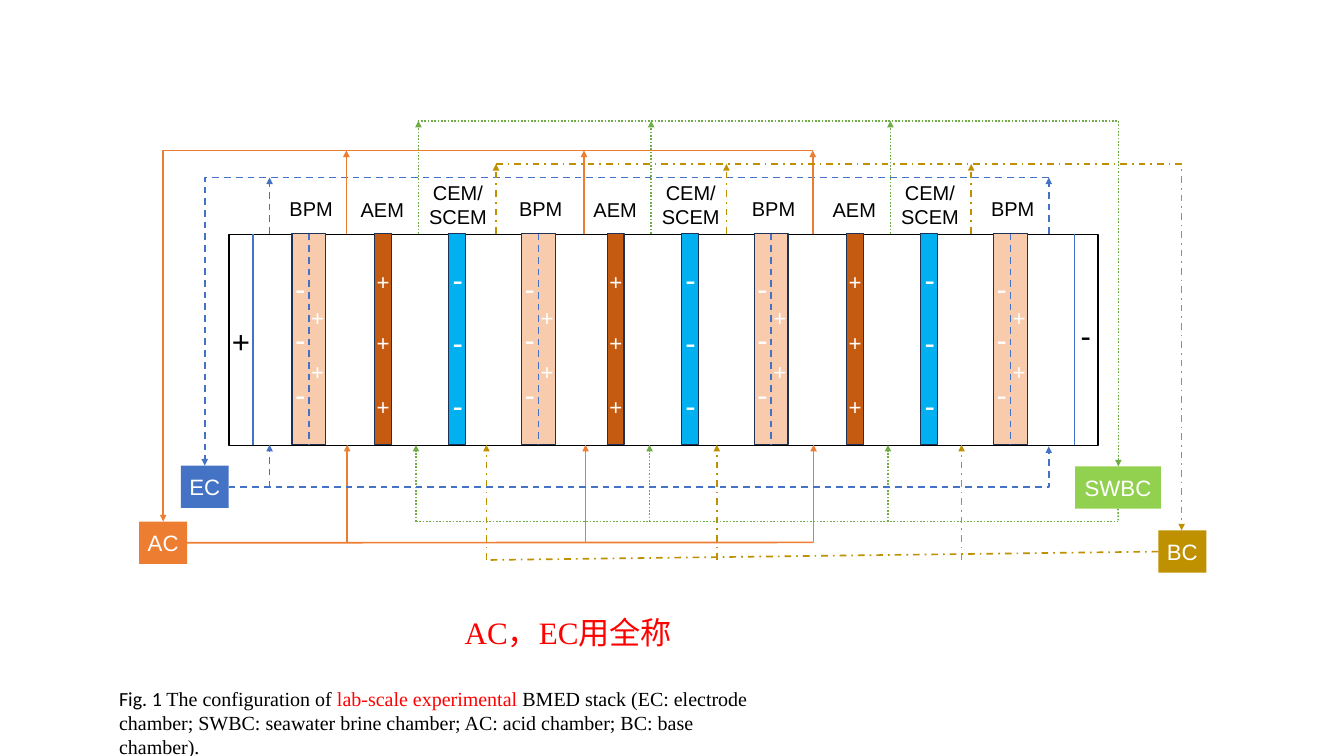
from lxml import etree
from pptx import Presentation
from pptx.dml.color import RGBColor
from pptx.enum.dml import MSO_LINE
from pptx.enum.shapes import MSO_CONNECTOR, MSO_SHAPE
from pptx.enum.text import MSO_ANCHOR, MSO_AUTO_SIZE, PP_ALIGN
from pptx.oxml.ns import qn
from pptx.util import Inches, Pt

RECTANGLE = MSO_SHAPE.RECTANGLE
STRAIGHT, ELBOW = MSO_CONNECTOR.STRAIGHT, MSO_CONNECTOR.ELBOW
DASH, DOT, DASH_DOT = MSO_LINE.DASH, MSO_LINE.ROUND_DOT, MSO_LINE.DASH_DOT
CENTER, MIDDLE = PP_ALIGN.CENTER, MSO_ANCHOR.MIDDLE
GROW = MSO_AUTO_SIZE.SHAPE_TO_FIT_TEXT
TOP, LEFT, BOTTOM, RIGHT = range(4)

COLORS = {
    "black": "000000", "white": "FFFFFF", "red": "FF0000", "outline": "1E3256",
    "blue": "4472C4", "orange": "ED7D31", "green": "70AD47", "lime": "92D050",
    "gold": "BF9000", "peach": "F8CBAD", "brown": "C55A11", "cyan": "00B0F0",
}
COLORS = {name: RGBColor.from_string(value) for name, value in COLORS.items()}

STACK_TOP, STACK_HEIGHT = 2.92, 2.64
STACK_BOTTOM = STACK_TOP + STACK_HEIGHT
AEM_LEFTS = [4.68, 7.59, 10.58]
MINUS, PLUS = ("-", 28, 0.57), ("+", 20, 0.44)

deck = Presentation()
deck.slide_width, deck.slide_height = Inches(16.8), Inches(9.45)
page = deck.slides.add_slide(deck.slide_layouts[6])


def draw_line(start, end, color, dash=None, arrow=False, kind=STRAIGHT):
    line = page.shapes.add_connector(kind, *map(Inches, (*start, *end)))
    line.line.color.rgb = COLORS[color]
    line.line.width = Pt(1.5)
    if dash:
        line.line.dash_style = dash
    properties = line._element.spPr
    if kind == ELBOW:
        properties.find(qn("a:prstGeom")).set("prst", "bentConnector2")
    if arrow:
        etree.SubElement(properties.find(qn("a:ln")), qn("a:tailEnd"), type="triangle")
    etree.SubElement(properties, qn("a:effectLst"))
    return line


def write(place, lines, size, color, align=None, font="Arial", shape=None):
    box = shape or page.shapes.add_textbox(*map(Inches, place))
    frame = box.text_frame
    frame.word_wrap = True
    if shape is None:
        frame.auto_size = GROW
    for index, line in enumerate(lines):
        para = frame.add_paragraph() if index else frame.paragraphs[0]
        para.alignment = align
        for text, changes in line if isinstance(line, list) else [(line, {})]:
            span = para.add_run()
            span.text = text
            look = {"name": font, "size": Pt(size), "color": color} | changes
            span.font.color.rgb = COLORS[look.pop("color")]
            for name, value in look.items():
                setattr(span.font, name, value)


stack = page.shapes.add_shape(RECTANGLE, *map(Inches, (2.86, 2.93, 10.87, STACK_HEIGHT)))
stack.shadow.inherit = False
stack.fill.background()
stack.line.color.rgb = COLORS["black"]
stack.line.width = Pt(1.5)

for electrode_x, sign, sign_left, sign_top in [(3.16, "+", 2.8, 3.98), (13.43, "-", 13.41, 3.91)]:
    draw_line((electrode_x, STACK_TOP), (electrode_x, STACK_BOTTOM), "blue")
    write((sign_left, sign_top, 0.45, 0.57), [sign], 28, "black")

membranes = {
    "BPM": dict(
        lefts=[3.65] + [left + 1.84 for left in AEM_LEFTS], width=0.42, fill="peach",
        lines=["BPM"], label=(-0.13, 2.41, 0.81, 0.4),
        signs=[(MINUS, -0.06, (3.32, 3.95, 4.64)), (PLUS, 0.14, (3.75, 4.43))]),
    "AEM": dict(
        lefts=AEM_LEFTS, width=0.21, fill="brown",
        lines=["AEM"], label=(-0.27, 2.42, 0.81, 0.4),
        signs=[(PLUS, -0.07, (3.3, 4.07, 4.87))]),
    "CEM": dict(
        lefts=[left + 0.93 for left in AEM_LEFTS], width=0.21, fill="cyan",
        lines=["CEM/", "SCEM"], label=(-0.37, 2.21, 0.97, 0.71),
        signs=[(MINUS, -0.05, (3.21, 3.99, 4.78))]),
}
for name, membrane in membranes.items():
    for left in membrane["lefts"]:
        place = (left, STACK_TOP, membrane["width"], STACK_HEIGHT)
        sheet = page.shapes.add_shape(RECTANGLE, *map(Inches, place))
        sheet.shadow.inherit = False
        sheet.fill.solid()
        sheet.fill.fore_color.rgb = COLORS[membrane["fill"]]
        sheet.line.color.rgb = COLORS["outline"]
        sheet.line.width = Pt(1)
        if name == "BPM":
            middle = left + membrane["width"] / 2
            divider = draw_line((middle, STACK_TOP), (middle, STACK_BOTTOM), "blue", DASH)
            divider.begin_connect(sheet, TOP)
            divider.end_connect(sheet, BOTTOM)
        offset, top, width, height = membrane["label"]
        align = CENTER if name == "CEM" else None
        write((left + offset, top, width, height), membrane["lines"], 18, "black", align)
        for (sign, size, height), offset, tops in membrane["signs"]:
            for top in tops:
                write((left + offset, top, 0.45, height), [sign], size, "white")

tanks = {}
for name, fill, *place in [
    ("EC", "blue", 2.26, 5.82, 0.6, 0.53),
    ("AC", "orange", 1.74, 6.52, 0.6, 0.53),
    ("SWBC", "lime", 13.44, 5.83, 1.07, 0.53),
    ("BC", "gold", 14.48, 6.63, 0.6, 0.53),
]:
    tank = page.shapes.add_shape(RECTANGLE, *map(Inches, place))
    tank.shadow.inherit = False
    tank.fill.solid()
    tank.fill.fore_color.rgb = COLORS[fill]
    tank.line.fill.background()
    tank.text_frame.vertical_anchor = MIDDLE
    tank.text_frame.margin_left = tank.text_frame.margin_right = Inches(0.05)
    write(place, [name], 20, "white", CENTER, shape=tank)
    tanks[name] = tank

streams = [
    ("blue", DASH, 2.22, [3.37, 13.11], 6.09, [3.37], (13.11, 2.22), (2.56, 5.82)),
    ("orange", None, 1.88, [4.33, 7.3, 10.16], 6.78, [4.34, 7.32, 10.17], (10.16, 1.88), (2.04, 6.52)),
    ("green", DOT, 1.51, [5.23, 8.14, 11.13], 6.52, [5.2, 8.12, 11.1], (5.22, 1.51), (13.98, 5.83)),
    ("gold", DASH_DOT, 2.05, [6.2, 9.08, 12.14], 7, [6.08, 8.96, 12.02], (6.2, 2.05), (14.77, 6.63)),
]
for color, dash, outlet_y, outlets, inlet_y, inlets, start, end in streams:
    for x in outlets:
        draw_line((x, STACK_TOP), (x, outlet_y), color, dash, True)
    for x in inlets:
        draw_line((x, inlet_y), (x, STACK_BOTTOM), color, dash, True)
    draw_line(start, end, color, dash, True, ELBOW)

draw_line((2.86, 6.09), (13.11, 5.58), "blue", DASH, True, ELBOW)
for name, side, start, end, color, dash in [
    ("AC", RIGHT, (2.34, 6.78), (10.17, 6.78), "orange", None),
    ("SWBC", BOTTOM, (13.98, 6.36), (13.98, 6.52), "green", DOT),
    ("BC", LEFT, (14.48, 7), (6.08, 7), "gold", DASH_DOT),
]:
    draw_line(start, end, color, dash).begin_connect(tanks[name], side)
draw_line((5.2, 6.52), (13.98, 6.52), "green", DOT)

caption = [
    ("Fig. 1 ", {"name": "Calibri"}),
    ("The configuration of ", {}),
    ("lab-scale experimental ", {"color": "red"}),
    ("BMED stack (EC: electrode chamber; SWBC: seawater brine chamber; "
     "AC: acid chamber; BC: base chamber).", {}),
]
write((1.39, 8.53, 8.4, 0.71), [caption], 18, "black", font="Times New Roman")
write((5.71, 7.62, 8.4, 0.57), ["AC，EC用全称"], 28, "red", font="Times New Roman")

deck.save("out.pptx")
